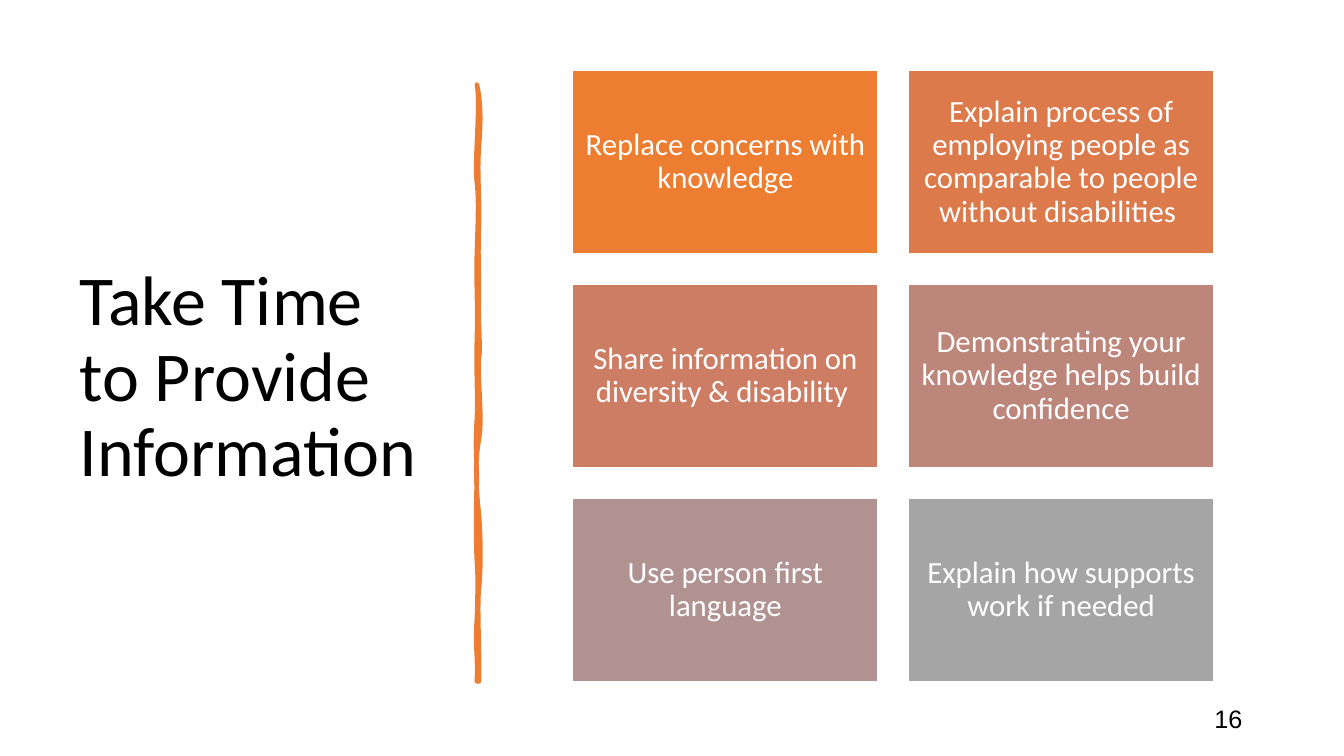
import lxml.etree
import pptx
import pptx.dml.color
import pptx.enum.shapes
import pptx.enum.text
import pptx.oxml.ns
import pptx.util

PX = 9144
ALIGN = pptx.enum.text.PP_ALIGN
ORANGE = "ED7D31"
WHITE = "FFFFFF"
BLACK = "000000"

CARDS = [
    ("Replace concerns with knowledge", ORANGE),
    ("Explain process of employing people as comparable to people without disabilities ", "DC7A4B"),
    ("Share information on diversity & disability ", "CC7D64"),
    ("Demonstrating your knowledge helps build confidence", "BD867B"),
    ("Use person first language", "B09391"),
    ("Explain how supports work if needed", "A5A5A5"),
]

STROKE_LEFT, STROKE_TOP = 473, 84
STROKE_START = (475, 84)
STROKE_CURVES = [
    ((477, 102), (477, 119), (475, 146)),
    ((473, 173), (476, 195), (475, 226)),
    ((474, 257), (475, 262), (475, 294)),
    ((474, 325), (477, 342), (475, 356)),
    ((473, 370), (479, 414), (475, 436)),
    ((471, 457), (472, 484), (475, 510)),
    ((477, 536), (477, 564), (475, 584)),
    ((473, 603), (476, 650), (475, 676)),
    ((474, 676), (473, 676), (473, 676)),
    ((474, 646), (471, 644), (473, 613)),
    ((474, 583), (474, 570), (473, 557)),
    ((472, 544), (472, 495), (473, 477)),
    ((473, 459), (471, 445), (473, 415)),
    ((474, 386), (472, 373), (473, 335)),
    ((474, 298), (472, 281), (473, 250)),
    ((474, 218), (475, 200), (473, 181)),
    ((470, 163), (477, 104), (473, 84)),
]


def color(value):
    return pptx.dml.color.RGBColor.from_string(value)


def paint(shape, fill, line, width):
    shape.shadow.inherit = False
    shape.fill.solid()
    shape.fill.fore_color.rgb = color(fill)
    shape.line.color.rgb = color(line)
    shape.line.width = pptx.util.Pt(width)


def write(shape, text, size, font, text_color, align, inset=10):
    frame = shape.text_frame
    frame.word_wrap = True
    frame.vertical_anchor = pptx.enum.text.MSO_ANCHOR.MIDDLE
    frame.margin_left = frame.margin_right = inset * PX
    frame.margin_top = frame.margin_bottom = 5 * PX
    paragraph = frame.paragraphs[0]
    paragraph.text = text
    paragraph.alignment = align
    paragraph.line_spacing = 0.9
    paragraph.font.size = pptx.util.Pt(size)
    paragraph.font.name = font
    paragraph.font.color.rgb = color(text_color)


def add_text(slide, left, top, width, height, *style):
    box = slide.shapes.add_textbox(left * PX, top * PX, width * PX, height * PX)
    write(box, *style)


def add_card(slide, left, top, text, fill):
    card = slide.shapes.add_shape(
        pptx.enum.shapes.MSO_SHAPE.RECTANGLE,
        left * PX, top * PX, 303 * PX, 182 * PX)
    paint(card, fill, WHITE, 1)
    write(card, text, 22, "Calibri", WHITE, ALIGN.CENTER, 9)


def bend(segment, curve):
    qualified = pptx.oxml.ns.qn
    segment.clear()
    segment.tag = qualified("a:cubicBezTo")
    for x, y in curve:
        lxml.etree.SubElement(
            segment, qualified("a:pt"),
            x=str((x - STROKE_LEFT) * PX), y=str((y - STROKE_TOP) * PX))


def add_brush_stroke(slide):
    builder = slide.shapes.build_freeform(*STROKE_START, scale=PX)
    builder.add_line_segments([curve[-1] for curve in STROKE_CURVES], close=True)
    stroke = builder.convert_to_shape()
    for element in stroke.element.iter(pptx.oxml.ns.qn("a:path")):
        for points in element.iter(pptx.oxml.ns.qn("a:path")):
            points.set("w", str(stroke.width))
            points.set("h", str(stroke.height))
    segments = list(stroke.element.iter(pptx.oxml.ns.qn("a:lnTo")))
    for segment, curve in zip(segments, STROKE_CURVES):
        bend(segment, curve)
    paint(stroke, ORANGE, ORANGE, 3.25)


def main():
    presentation = pptx.Presentation()
    presentation.slide_width = pptx.util.Inches(13.33)
    presentation.slide_height = pptx.util.Inches(7.5)
    slide = presentation.slides.add_slide(presentation.slide_layouts[6])
    add_text(slide, 69, 70, 374, 611,
             "Take Time to Provide Information", 50, "Calibri", BLACK, ALIGN.LEFT)
    add_brush_stroke(slide)
    add_text(slide, 942, 695, 300, 40, "16", 18, "Arial", BLACK, ALIGN.RIGHT)
    for index, (text, fill) in enumerate(CARDS):
        row, column = divmod(index, 2)
        add_card(slide, 568 + 333 * column, 70 + 212 * row, text, fill)
    presentation.save("out.pptx")


if __name__ == "__main__":
    main()
